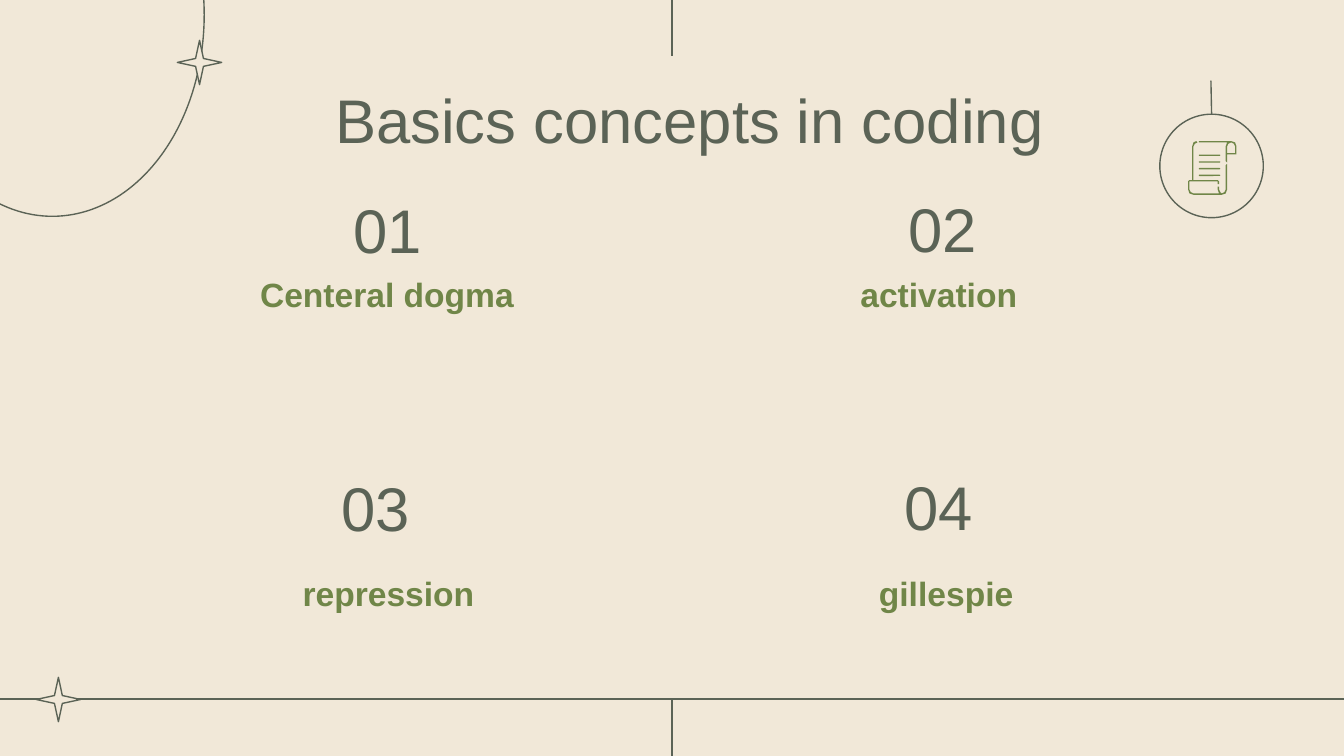
from typing import NamedTuple

from pptx import Presentation
from pptx import util as u
from pptx.dml.color import RGBColor
from pptx.enum import shapes, text
from pptx.oxml.ns import qn
from lxml import etree

CREAM = RGBColor(0xF1, 0xE8, 0xD8)
SLATE = RGBColor(0x5B, 0x63, 0x56)
GREEN = RGBColor(0x70, 0x86, 0x48)
FONT = "Arial"
LINE_WIDTH = u.Pt(0.75)
STAR_SIZE = 0.33

Point = tuple[float, float]


class Box(NamedTuple):
    left: float
    top: float
    width: float
    height: float

    def lengths(self) -> list[u.Length]:
        return [u.Inches(value) for value in self]


class Concept(NamedTuple):
    number: str
    number_left: float
    number_top: float
    label: str
    label_box: Box


CONCEPTS = [
    Concept("01", 2.49, 1.33, "Centeral dogma", Box(1.16, 1.94, 3.44, 0.42)),
    Concept("02", 6.62, 1.32, "activation", Box(5.6, 1.94, 2.77, 0.41)),
    Concept("03", 2.4, 3.4, "repression", Box(1.55, 4.16, 2.68, 0.42)),
    Concept("04", 6.59, 3.39, "gillespie", Box(5.7, 4.16, 2.68, 0.42)),
]

# Scroll icon: each part is a list of closed contours
SCROLL_BODY = [[
    (8.9, 1.05), (8.88, 1.06), (8.87, 1.09), (8.87, 1.34), (8.85, 1.34),
    (8.84, 1.35), (8.84, 1.41), (8.85, 1.44), (8.88, 1.45), (9.09, 1.45),
    (9.12, 1.44), (9.13, 1.41), (9.13, 1.23), (9.13, 1.22), (9.12, 1.23),
    (9.12, 1.41), (9.11, 1.43), (9.09, 1.44), (9.08, 1.43), (9.07, 1.41),
    (9.07, 1.39), (9.06, 1.39), (9.06, 1.41), (9.07, 1.44), (8.88, 1.44),
    (8.86, 1.43), (8.85, 1.41), (8.85, 1.35), (9.06, 1.35), (9.06, 1.37),
    (9.07, 1.37), (9.07, 1.35), (9.06, 1.34), (8.88, 1.34), (8.88, 1.09),
    (8.89, 1.07), (8.91, 1.06),
]]
SCROLL_TOP = [
    [(9.16, 1.06), (9.18, 1.07), (9.19, 1.09), (9.19, 1.14), (9.13, 1.14),
     (9.13, 1.09), (9.14, 1.07)],
    [(8.92, 1.05), (8.92, 1.06), (9.13, 1.06), (9.12, 1.09), (9.12, 1.2),
     (9.13, 1.21), (9.13, 1.15), (9.19, 1.15), (9.2, 1.15), (9.2, 1.09),
     (9.19, 1.06), (9.16, 1.05)],
]


def add_text(slide, content: str, box: Box, *, size: float, color: RGBColor,
             bold: bool = False, space_after: float = 0):
    shape = slide.shapes.add_textbox(*box.lengths())
    frame = shape.text_frame
    frame.word_wrap = True
    frame.vertical_anchor = text.MSO_ANCHOR.TOP
    frame.margin_left = frame.margin_right = u.Inches(0.1)
    frame.margin_top = frame.margin_bottom = u.Inches(0.1)
    paragraph = frame.paragraphs[0]
    paragraph.alignment = text.PP_ALIGN.CENTER
    paragraph.space_after = u.Pt(space_after)
    run = paragraph.add_run()
    run.text = content
    run.font.name, run.font.size, run.font.bold = FONT, u.Pt(size), bold
    run.font.color.rgb = color
    return shape


def add_line(slide, start: Point, end: Point):
    line = slide.shapes.add_connector(
        shapes.MSO_CONNECTOR.STRAIGHT, *map(u.Inches, start + end))
    line.line.color.rgb = SLATE
    line.line.width = LINE_WIDTH
    etree.SubElement(line._element.spPr, qn("a:effectLst"))
    return line


def add_outlined(slide, kind: shapes.MSO_SHAPE, box: Box, fill: RGBColor | None = None):
    shape = slide.shapes.add_shape(kind, *box.lengths())
    shape.shadow.inherit = False
    if fill is None:
        shape.fill.background()
    else:
        shape.fill.solid()
        shape.fill.fore_color.rgb = fill
    shape.line.color.rgb = SLATE
    shape.line.width = LINE_WIDTH
    return shape


def add_star(slide, left: float, top: float) -> None:
    star = add_outlined(slide, shapes.MSO_SHAPE.STAR_4_POINT,
                        Box(left, top, STAR_SIZE, STAR_SIZE), CREAM)
    star.adjustments[0] = 0.125


def fill_green(shape) -> None:
    shape.shadow.inherit = False
    shape.fill.solid()
    shape.fill.fore_color.rgb = GREEN
    shape.line.fill.background()


def add_outline(slide, contours: list[list[Point]]) -> None:
    scaled = [[(u.Inches(x), u.Inches(y)) for x, y in contour] for contour in contours]
    builder = slide.shapes.build_freeform(*scaled[0][0])
    for index, contour in enumerate(scaled):
        if index:
            builder.move_to(*contour[0])
        builder.add_line_segments(contour[1:], close=True)
    fill_green(builder.convert_to_shape())


def add_scroll(slide) -> None:
    add_outline(slide, SCROLL_BODY)
    add_outline(slide, SCROLL_TOP)
    for row in range(4):
        bar = slide.shapes.add_shape(
            shapes.MSO_SHAPE.ROUNDED_RECTANGLE,
            *Box(8.92, 1.15 + 0.05 * row, 0.16, 0.01).lengths())
        bar.adjustments[0] = 0.5
        fill_green(bar)


def main() -> None:
    presentation = Presentation()
    presentation.slide_width = u.Inches(10)
    presentation.slide_height = u.Inches(10 * 9 / 16)
    slide = presentation.slides.add_slide(presentation.slide_layouts[6])
    slide.background.fill.solid()
    slide.background.fill.fore_color.rgb = CREAM

    # Frame lines and lower star
    add_line(slide, (5, 5.2), (5, 5.63))
    add_line(slide, (-0.02, 5.2), (10, 5.2))
    add_line(slide, (5, 0), (5, 0.42))
    add_star(slide, 0.27, 5.04)

    # Title and the four concepts
    add_text(slide, "Basics concepts in coding", Box(0.92, 0.51, 8.42, 0.63),
             size=33, color=SLATE)
    for concept in CONCEPTS:
        add_text(slide, concept.number,
                 Box(concept.number_left, concept.number_top, 0.79, 0.61),
                 size=33, color=SLATE)
        add_text(slide, concept.label, concept.label_box, size=18, color=GREEN,
                 bold=True, space_after=12)

    # Corner orbit with its star
    add_outlined(slide, shapes.MSO_SHAPE.OVAL, Box(-0.74, -1.39, 2.26, 3))
    add_star(slide, 1.32, 0.3)

    # Hanging medallion with the scroll
    medallion = add_outlined(slide, shapes.MSO_SHAPE.OVAL, Box(8.63, 0.85, 0.77, 0.77))
    add_scroll(slide)
    cord = add_line(slide, (9.02, 0.85), (9.01, 0.6))
    cord.begin_connect(medallion, 0)

    presentation.save("out.pptx")


if __name__ == "__main__":
    main()
